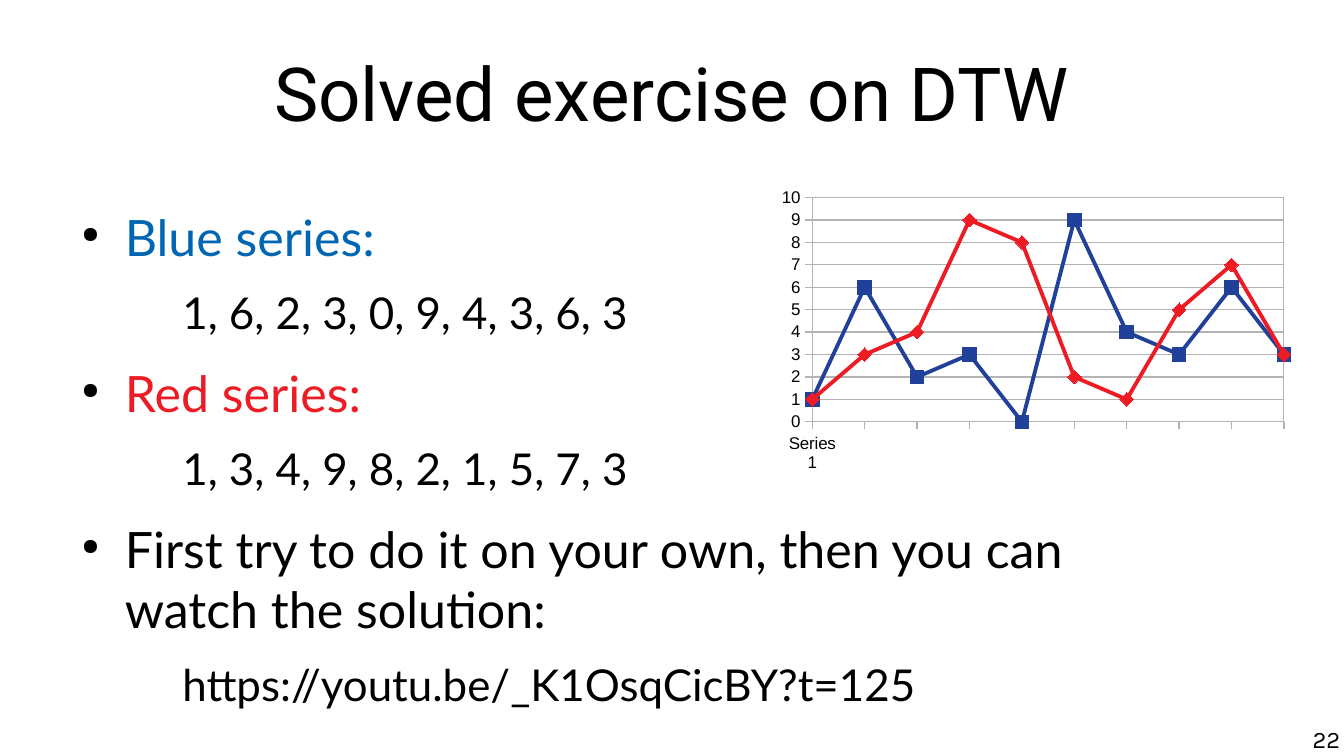
from dataclasses import dataclass

from lxml import etree
from pptx import Presentation
from pptx.chart.data import CategoryChartData
from pptx.dml.color import RGBColor
from pptx.enum.chart import XL_CHART_TYPE, XL_MARKER_STYLE, XL_TICK_MARK
from pptx.enum.text import MSO_ANCHOR, PP_ALIGN
from pptx.oxml import parse_xml
from pptx.oxml.ns import nsdecls, qn
from pptx.util import Cm, Pt

LINES = XL_CHART_TYPE.LINE_MARKERS
SQUARE = XL_MARKER_STYLE.SQUARE
DIAMOND = XL_MARKER_STYLE.DIAMOND
OUTSIDE = XL_TICK_MARK.OUTSIDE
MIDDLE, TOP = MSO_ANCHOR.MIDDLE, MSO_ANCHOR.TOP
CENTER, LEFT, RIGHT = PP_ALIGN.CENTER, PP_ALIGN.LEFT, PP_ALIGN.RIGHT
BLACK, GRAY = "000000", "B3B3B3"


@dataclass
class Box:
    left: float
    top: float
    width: float
    height: float

    def place(self) -> tuple:
        return Cm(self.left), Cm(self.top), Cm(self.width), Cm(self.height)


@dataclass
class Series:
    name: str
    label: str
    values: tuple
    color: str
    ink: str
    marker: int


@dataclass
class Item:
    text: str
    color: str = BLACK
    sub: bool = False


SERIES = [
    Series("Series 1", "Blue series:", (1, 6, 2, 3, 0, 9, 4, 3, 6, 3),
           "21409A", "0066B3", SQUARE),
    Series("Series 2", "Red series:", (1, 3, 4, 9, 8, 2, 1, 5, 7, 3),
           "ED1C24", "ED1C24", DIAMOND),
]


def rgb(code: str) -> RGBColor:
    return RGBColor.from_string(code)


def add_run(para, text: str, font: str, size: float, color: str = BLACK) -> None:
    run = para.add_run()
    run.text = text
    run.font.name = font
    run.font.size = Pt(size)
    run.font.color.rgb = rgb(color)


def set_frame(shape, anchor=TOP):
    frame = shape.text_frame
    frame.word_wrap = True
    frame.vertical_anchor = anchor
    frame.margin_left = frame.margin_right = 0
    frame.margin_top = frame.margin_bottom = 0
    return frame


def add_title(slide, text: str, box: Box) -> None:
    title = slide.shapes.title
    title.left, title.top, title.width, title.height = box.place()
    para = set_frame(title, MIDDLE).paragraphs[0]
    para.alignment = CENTER
    add_run(para, text, "Roboto", 44)


def set_bullet(para) -> None:
    props = para._p.get_or_add_pPr()
    props.set("marL", str(Cm(1.2)))
    props.set("indent", str(Cm(-0.9)))
    color = etree.SubElement(props, qn("a:buClr"))
    etree.SubElement(color, qn("a:srgbClr")).set("val", BLACK)
    etree.SubElement(props, qn("a:buSzPct")).set("val", "45000")
    etree.SubElement(props, qn("a:buChar")).set("char", "●")


def add_list(slide, items: list[Item], box: Box) -> None:
    frame = set_frame(slide.shapes.add_textbox(*box.place()))
    for i, item in enumerate(items):
        para = frame.add_paragraph() if i else frame.paragraphs[0]
        if item.sub:
            para.level = 1
            para._p.get_or_add_pPr().set("marL", str(Cm(2.4)))
        else:
            set_bullet(para)
        para.alignment = LEFT
        if i:
            para.space_before = Pt(11.3 if item.sub else 14.2)
        add_run(para, item.text, "Lato", 25.9 if item.sub else 29.6, item.color)


def set_line(line, color: str, width: float) -> None:
    line.color.rgb = rgb(color)
    line.width = Pt(width)


def set_plot(chart) -> None:
    plot = chart.element.find(".//" + qn("c:plotArea"))
    for old in plot.findall(qn("c:layout")):
        plot.remove(old)
    sizes = {"x": 0.08, "y": 0.05, "w": 0.9, "h": 0.76}
    modes = "".join(f'<c:{key}Mode val="edge"/>' for key in "xy")
    parts = "".join(f'<c:{key} val="{size}"/>' for key, size in sizes.items())
    plot.insert(0, parse_xml(
        f'<c:layout {nsdecls("c")}><c:manualLayout><c:layoutTarget val="inner"/>'
        f'{modes}{parts}</c:manualLayout></c:layout>'))
    plot.append(parse_xml(
        f'<c:spPr {nsdecls("c", "a")}><a:noFill/><a:ln w="0"><a:solidFill>'
        f'<a:srgbClr val="{GRAY}"/></a:solidFill></a:ln></c:spPr>'))
    axis = plot.find(qn("c:valAx"))
    for old in axis.findall(qn("c:crossBetween")):
        axis.remove(old)
    cross = parse_xml(f'<c:crossBetween {nsdecls("c")} val="midCat"/>')
    axis.find(qn("c:crosses")).addnext(cross)


def add_lines(slide, box: Box) -> None:
    data = CategoryChartData()
    count = len(SERIES[0].values)
    data.categories = [SERIES[0].name] + [""] * (count - 1)
    for row in SERIES:
        data.add_series(row.name, row.values)
    chart = slide.shapes.add_chart(LINES, *box.place(), data).chart
    chart.has_title = chart.has_legend = False
    chart.font.name = "Arial"
    chart.font.size = Pt(10)
    chart.font.color.rgb = rgb(BLACK)
    for axis in (chart.category_axis, chart.value_axis):
        axis.major_tick_mark = OUTSIDE
        set_line(axis.format.line, GRAY, 0)
    scale = chart.value_axis
    scale.minimum_scale, scale.maximum_scale, scale.major_unit = 0, 10, 1
    scale.has_major_gridlines = True
    set_line(scale.major_gridlines.format.line, GRAY, 0)
    plot = chart.plots[0]
    plot.vary_by_categories = False
    for line, row in zip(plot.series, SERIES):
        line.smooth = False
        set_line(line.format.line, row.color, 2.27)
        mark = line.marker
        mark.style, mark.size = row.marker, 8
        mark.format.fill.solid()
        mark.format.fill.fore_color.rgb = rgb(row.color)
        mark.format.line.color.rgb = rgb(row.color)
    set_plot(chart)


def add_number(slide, text: str, box: Box) -> None:
    para = set_frame(slide.shapes.add_textbox(*box.place())).paragraphs[0]
    para.alignment = RIGHT
    add_run(para, text, "Karla", 14)


def main() -> None:
    deck = Presentation()
    deck.slide_width, deck.slide_height = Cm(28), Cm(15.75)
    slide = deck.slides.add_slide(deck.slide_layouts[5])
    items = []
    for row in SERIES:
        items.append(Item(row.label, row.ink))
        items.append(Item(", ".join(map(str, row.values)), sub=True))
    items.append(Item(
        "First try to do it on your own, then you can watch the solution:"))
    items.append(Item("https://youtu.be/_K1OsqCicBY?t=125", sub=True))
    add_title(slide, "Solved exercise on DTW", Box(1.4, 0.03, 25.2, 3.78))
    add_list(slide, items, Box(1.4, 4.3, 21.95, 10.34))
    add_lines(slide, Box(16.05, 3.81, 10.92, 6.15))
    add_number(slide, "22", Box(21.39, 15.11, 6.53, 0.64))
    deck.save("out.pptx")


if __name__ == "__main__":
    main()
